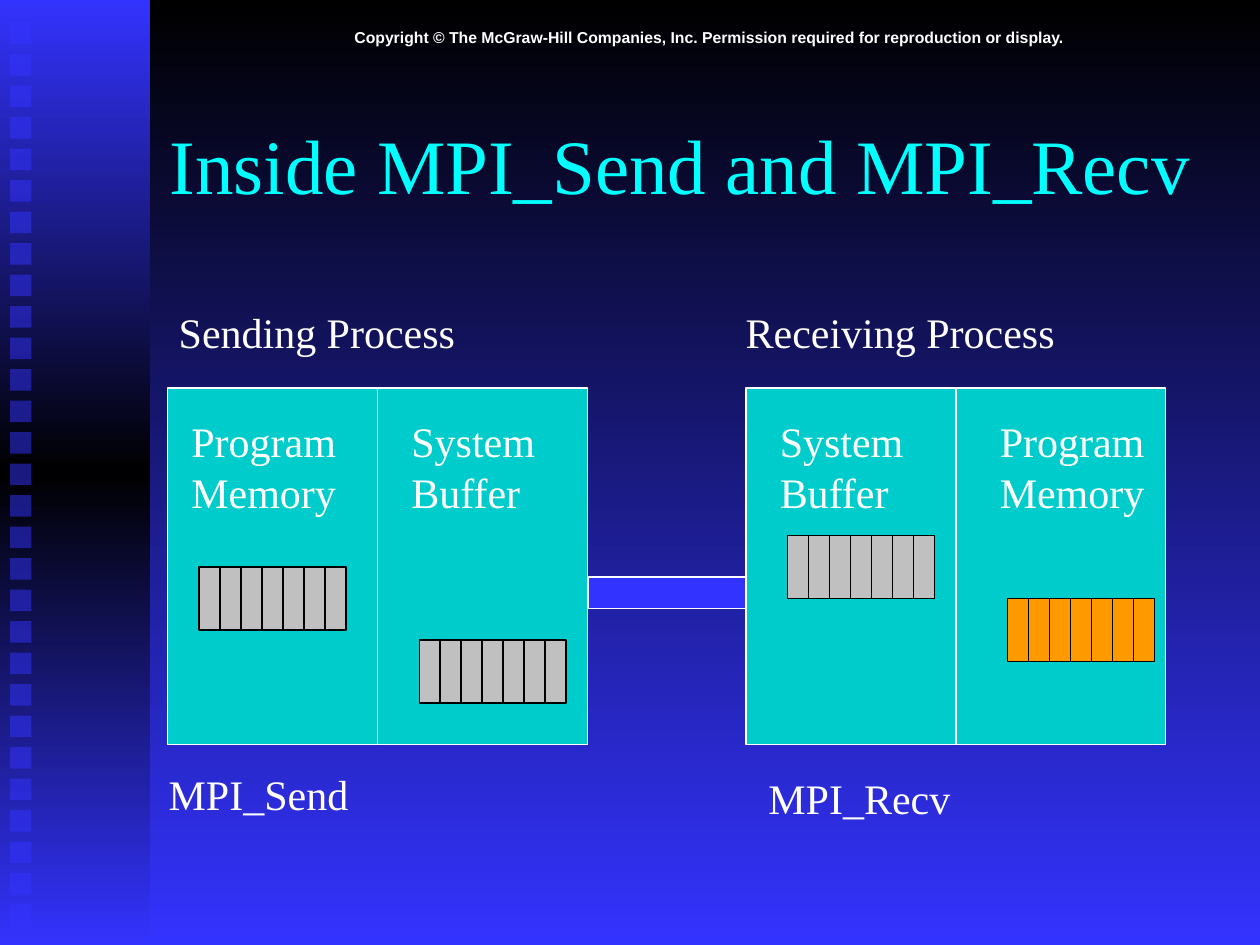
from copy import deepcopy

from lxml import etree
from pptx import Presentation
from pptx.dml.color import RGBColor
from pptx.enum.shapes import MSO_SHAPE
from pptx.enum.text import MSO_ANCHOR, PP_ALIGN
from pptx.oxml.ns import qn
from pptx.util import Inches, Pt

RECTANGLE = MSO_SHAPE.RECTANGLE
TOP, MIDDLE = MSO_ANCHOR.TOP, MSO_ANCHOR.MIDDLE
LEFT, CENTER = PP_ALIGN.LEFT, PP_ALIGN.CENTER

WHITE, BLACK, BLUE = "FFFFFF", "000000", "3333FF"
CYAN, TEAL, GRAY, ORANGE = "00FFFF", "00CCCC", "C0C0C0", "FF9900"
LABEL = {"name": "Times New Roman", "size": Pt(24), "bold": False}
TITLE = {**LABEL, "size": Pt(44)}
NOTICE = {"name": "Arial", "size": Pt(9), "bold": True}
PANEL_WIDTH, PANEL_HEIGHT = 5 / 3, 2.83
CELL_COUNT, CELL_WIDTH, CELL_HEIGHT = 7, 1 / 6, 0.5


def rgb(color):
    return RGBColor.from_string(color)


def set_gradient(fill, owner, colors):
    fill.gradient()
    fill.gradient_angle = 270
    stop_list = owner.xpath(".//a:gsLst")[0]
    for _ in colors[2:]:
        stop_list.append(deepcopy(stop_list[0]))
    for index, (stop, color) in enumerate(zip(fill.gradient_stops, colors)):
        stop.position = index / (len(colors) - 1)
        stop.color.rgb = rgb(color)


def add_rectangle(page, box, fill, line=None):
    shape = page.shapes.add_shape(RECTANGLE, *map(Inches, box))
    shape.shadow.inherit = False
    shape.fill.solid()
    shape.fill.fore_color.rgb = rgb(fill)
    if line:
        shape.line.color.rgb = rgb(line)
        shape.line.width = Pt(0.75)
    else:
        shape.line.fill.background()
    return shape


def add_text(page, box, lines, style=LABEL, color=WHITE, align=LEFT, anchor=TOP):
    frame = page.shapes.add_textbox(*map(Inches, box)).text_frame
    frame.word_wrap = True
    frame.vertical_anchor = anchor
    frame.text = "\n".join(lines)
    for para in frame.paragraphs:
        para.alignment = align
        for span in para.runs:
            for name, value in style.items():
                setattr(span.font, name, value)
            span.font.color.rgb = rgb(color)


def add_side_band(page, box):
    left, top, width, height = box
    band = add_rectangle(page, box, BLACK)
    set_gradient(band.fill, band.element, [BLUE, BLACK, BLUE])
    for row in range(29):
        square_box = (left + 0.08, top + 0.18 + row * 0.25, 0.17, 0.17)
        square = add_rectangle(page, square_box, BLUE)
        color = square.element.spPr.find(qn("a:solidFill"))[0]
        etree.SubElement(color, qn("a:alpha"), val="50000")


def add_buffer(page, left, top, color):
    for index in range(CELL_COUNT):
        cell_box = (left + index * CELL_WIDTH, top, CELL_WIDTH, CELL_HEIGHT)
        add_rectangle(page, cell_box, color, BLACK)


def add_panel(page, box, lines, label_width, indent, buffer_drop, buffer_color):
    left, top, width, height = box
    add_rectangle(page, box, TEAL, WHITE)
    add_text(page, (left + indent, top + 0.17, label_width, 0.9), lines)
    add_buffer(page, left + indent + 0.16, top + buffer_drop, buffer_color)


def add_process(page, left, top, heading, call, panels):
    heading_text, heading_shift, heading_width = heading
    call_text, call_shift, call_drop = call
    for index, panel in enumerate(panels):
        panel_box = (left + index * PANEL_WIDTH, top, PANEL_WIDTH, PANEL_HEIGHT)
        add_panel(page, panel_box, *panel)
    add_text(page, (left + heading_shift, top - 0.7, heading_width, 0.5), [heading_text])
    add_text(page, (left + call_shift, top + call_drop, 1.75, 0.5), [call_text])


def main():
    deck = Presentation()
    deck.slide_width, deck.slide_height = Inches(10), Inches(7.5)
    page = deck.slides.add_slide(deck.slide_layouts[6])
    set_gradient(page.background.fill, page.element, [BLACK, BLUE])
    add_side_band(page, (0, 0, 1.19, 7.5))
    notice = "Copyright © The McGraw-Hill Companies, Inc. Permission required for reproduction or display."
    add_text(page, (1.25, 0.17, 8.75, 0.25), [notice], NOTICE, align=CENTER)
    add_text(page, (1.25, 0.67, 8.5, 1.25), ["Inside MPI_Send and MPI_Recv"],
             TITLE, CYAN, anchor=MIDDLE)

    memory = (["Program", "Memory"], 1.42)
    system = (["System", "Buffer"], 1.25)
    add_process(page, 1.33, 3.08, ("Sending Process", -0.01, 2.5), ("MPI_Send", -0.09, 2.97),
                [(*memory, 0.09, 1.42, GRAY), (*system, 0.17, 2, GRAY)])
    add_process(page, 5.92, 3.08, ("Receiving Process", -0.1, 2.75), ("MPI_Recv", 0.08, 3),
                [(*system, 0.17, 1.17, GRAY), (*memory, 0.25, 1.67, ORANGE)])
    add_rectangle(page, (4.67, 4.58, 1.25, 0.25), BLUE, WHITE)
    deck.save("out.pptx")


if __name__ == "__main__":
    main()
